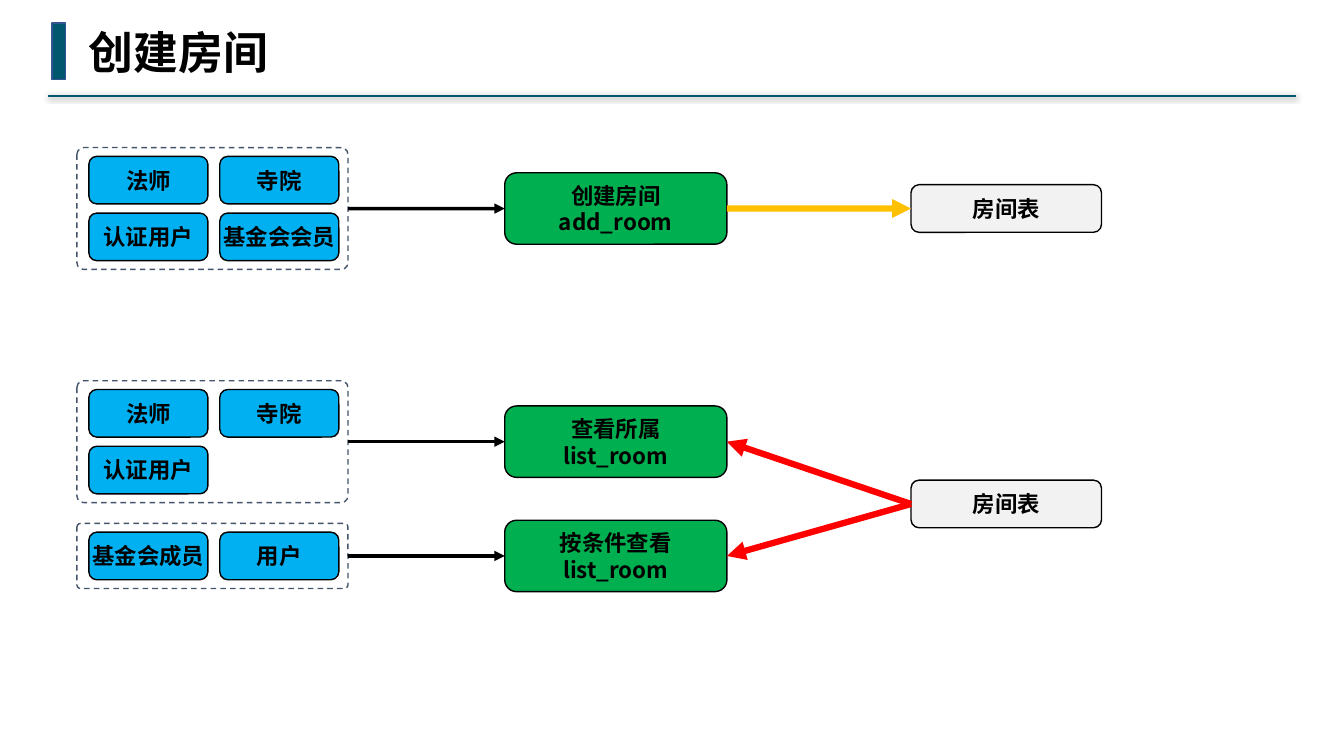
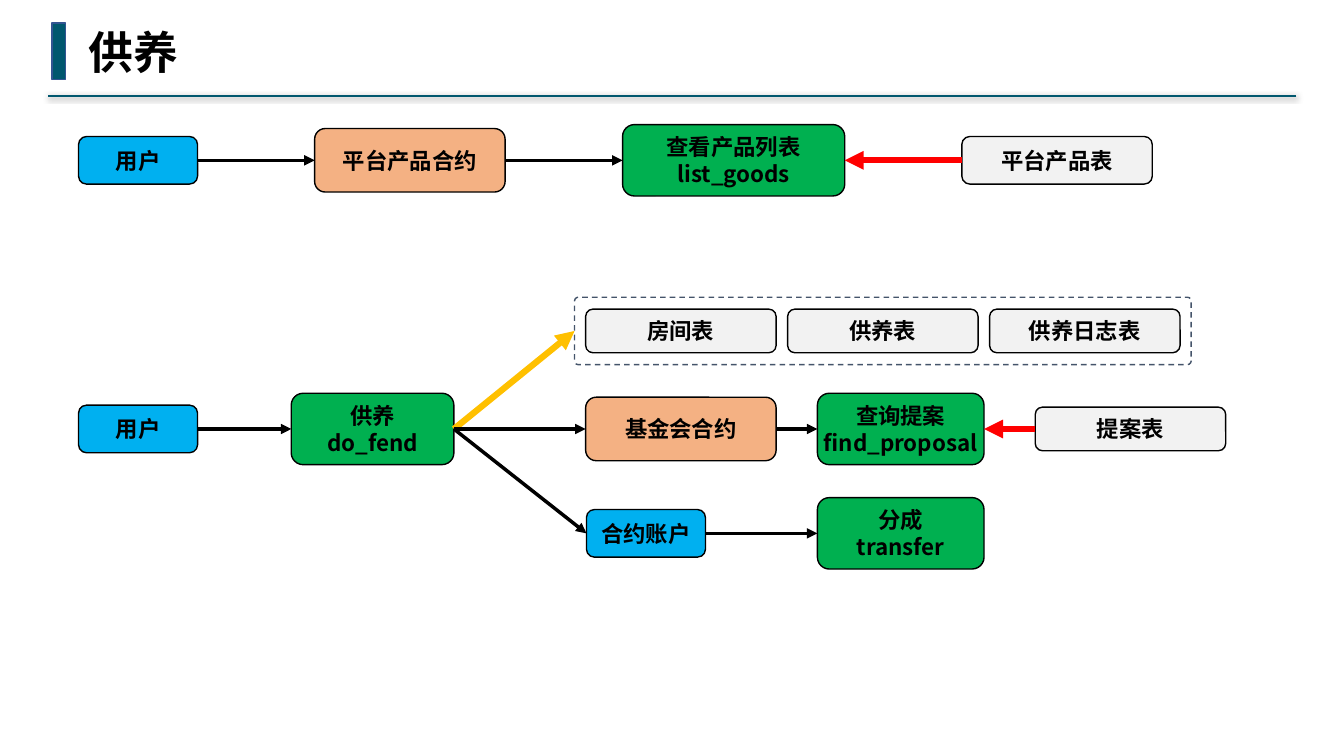
import collections

import lxml.etree
import pptx
import pptx.dml.color
import pptx.enum.dml
import pptx.enum.shapes
import pptx.enum.text
import pptx.oxml.ns
import pptx.util

Cm = pptx.util.Cm
Pt = pptx.util.Pt
RGB = pptx.dml.color.RGBColor
SHAPE = pptx.enum.shapes.MSO_SHAPE
ALIGN = pptx.enum.text.PP_ALIGN
MIDDLE = pptx.enum.text.MSO_ANCHOR.MIDDLE

TEAL = RGB(0x00, 0x57, 0x6E)
NAVY = RGB(0x32, 0x54, 0x91)
SLATE = RGB(0x44, 0x54, 0x6A)
BLACK = RGB(0x00, 0x00, 0x00)
BLUE = RGB(0x00, 0xB0, 0xF0)
GREEN = RGB(0x00, 0xB0, 0x50)
PEACH = RGB(0xF4, 0xB1, 0x83)
GREY = RGB(0xF2, 0xF2, 0xF2)
RED = RGB(0xFF, 0x00, 0x00)
GOLD = RGB(0xFF, 0xC0, 0x00)

SANS = "Noto Sans CJK SC"
MONO = "Noto Sans Mono"

Box = collections.namedtuple("Box", "x y w h")
Kind = collections.namedtuple("Kind", "fill w h")
Flow = collections.namedtuple("Flow", "color width")

USER = Kind(BLUE, 3, 1.2)
CALL = Kind(GREEN, 5.6, 1.8)
DEAL = Kind(PEACH, 4.8, 1.6)
TABLE = Kind(GREY, 4.8, 1.2)
SLIM = TABLE._replace(h=1.1)

STEP = Flow(BLACK, 2.5)
READ = Flow(RED, 4.5)
WRITE = Flow(GOLD, 4.5)


def add_tag(parent, name, **attrs):
    return lxml.etree.SubElement(parent, pptx.oxml.ns.qn(name), attrs)


def style_text(frame, size, latin, align):
    frame.word_wrap = False
    frame.vertical_anchor = MIDDLE
    for para in frame.paragraphs:
        para.alignment = align
        for run in para.runs:
            run.font.size = Pt(size)
            run.font.bold = True
            run.font.color.rgb = BLACK
            run.font.name = latin
            add_tag(run.font._element, "a:ea", typeface=SANS)


def add_shape(shapes, preset, box, fill, edge):
    shape = shapes.add_shape(preset, *map(Cm, box))
    shape.shadow.inherit = False
    if fill is None:
        shape.fill.background()
    else:
        shape.fill.solid()
        shape.fill.fore_color.rgb = fill
    shape.line.color.rgb = edge
    shape.line.width = Pt(1)
    return shape


def add_line(slide, start, end, color, width):
    line = slide.shapes.add_connector(
        pptx.enum.shapes.MSO_CONNECTOR.STRAIGHT, *map(Cm, start + end))
    line.line.color.rgb = color
    line.line.width = Pt(width)
    return line, add_tag(line._element.spPr, "a:effectLst")


def add_node(shapes, kind, text, x, mid):
    box = Box(x, mid - kind.h / 2, kind.w, kind.h)
    node = add_shape(shapes, SHAPE.ROUNDED_RECTANGLE, box, kind.fill, BLACK)
    frame = node.text_frame
    frame.margin_left = frame.margin_right = Cm(0.1)
    frame.margin_top = frame.margin_bottom = Cm(0.1)
    frame.text = text
    style_text(frame, 16, SANS, ALIGN.CENTER)
    return node


def add_group(slide, box, kind, names, cols, pad, gap):
    shapes = slide.shapes.add_group_shape().shapes
    frame = add_shape(shapes, SHAPE.ROUNDED_RECTANGLE, box, None, SLATE)
    frame.adjustments[0] = 0.055
    frame.line.dash_style = pptx.enum.dml.MSO_LINE.DASH
    for index, name in enumerate(names):
        row, col = divmod(index, cols)
        add_node(shapes, kind, name,
                 box.x + pad[0] + col * (kind.w + gap[0]),
                 box.y + pad[1] + kind.h / 2 + row * (kind.h + gap[1]))
    return frame


def add_users(slide, x, mid, names, rows):
    pad, gap = (0.3, 0.22), (0.3, 0.23)
    high = rows * USER.h + (rows - 1) * gap[1] + 2 * pad[1]
    box = Box(x, mid - high / 2, 6.83, high)
    return add_group(slide, box, USER, names, 2, pad, gap)


def link(slide, start, end, flow):
    line, _ = add_line(slide, (0, 0), (1, 1), *flow)
    ends = (3, 1) if start.left < end.left else (1, 3)
    line.begin_connect(start, ends[0])
    line.end_connect(end, ends[1])
    add_tag(line.line._get_or_add_ln(), "a:tailEnd", type="triangle")


def add_head(slide, text, box):
    _, glow = add_line(slide, (box.x + box.w, box.y + box.h),
                       (box.x, box.y + box.h), TEAL, 1.5)
    shade = add_tag(glow, "a:outerShdw", blurRad=str(Pt(4)), dist=str(Pt(1)),
                    dir="5400000", algn="t", rotWithShape="0")
    color = add_tag(shade, "a:srgbClr", val=str(BLACK))
    add_tag(color, "a:alpha", val="40000")
    add_shape(slide.shapes, SHAPE.RECTANGLE,
              Box(box.x + 0.11, box.y + 0.1, 0.34, 1.42), TEAL, NAVY)
    title = slide.shapes.title
    title.left, title.top = Cm(box.x + 0.78), Cm(box.y)
    title.width, title.height = Cm(0.5 + 1.14 * len(text)), Cm(1.62)
    title.text_frame.text = text
    title.text_frame.auto_size = pptx.enum.text.MSO_AUTO_SIZE.NONE
    style_text(title.text_frame, 32, MONO, ALIGN.LEFT)


def draw_create(slide, box):
    mid = box.y + box.h / 2
    users = add_users(slide, box.x, mid,
                      ("法师", "寺院", "认证用户", "基金会会员"), 2)
    call = add_node(slide.shapes, CALL, "创建房间\nadd_room", box.x + 10.78, mid)
    table = add_node(slide.shapes, TABLE, "房间表",
                     box.x + box.w - TABLE.w, mid)
    link(slide, users, call, STEP)
    link(slide, call, table, WRITE)


def draw_view(slide, box):
    table = add_node(slide.shapes, TABLE, "房间表",
                     box.x + box.w - TABLE.w, box.y + 3.1)
    lanes = (
        (1.53, ("法师", "寺院", "认证用户"), 2, "查看所属\nlist_room"),
        (4.41, ("基金会成员", "用户"), 1, "按条件查看\nlist_room"),
    )
    for drop, names, rows, text in lanes:
        mid = box.y + drop
        users = add_users(slide, box.x, mid, names, rows)
        call = add_node(slide.shapes, CALL, text, box.x + 10.78, mid)
        link(slide, users, call, STEP)
        link(slide, table, call, READ)


def draw_goods(slide, box):
    mid = box.y + box.h / 2
    parts = (
        (USER, "用户", 0),
        (DEAL, "平台产品合约", 5.95),
        (CALL, "查看产品列表\nlist_goods", 13.71),
        (TABLE, "平台产品表", box.w - TABLE.w),
    )
    user, deal, call, table = [
        add_node(slide.shapes, kind, text, box.x + x, mid)
        for kind, text, x in parts]
    link(slide, user, deal, STEP)
    link(slide, deal, call, STEP)
    link(slide, table, call, READ)


def draw_offer(slide, box):
    mid, low = box.y + 3.32, box.y + 5.95
    small = CALL._replace(w=4.2)
    parts = (
        (USER, "用户", 0, mid),
        (CALL._replace(w=4.1), "供养\ndo_fend", 5.36, mid),
        (DEAL, "基金会合约", 12.78, mid),
        (small, "查询提案\nfind_proposal", 18.62, mid),
        (SLIM, "提案表", box.w - SLIM.w, mid),
        (USER, "合约账户", 12.8, low),
        (small, "分成\ntransfer", 18.62, low),
    )
    user, fend, deal, find, table, fund, share = [
        add_node(slide.shapes, kind, text, box.x + x, y)
        for kind, text, x, y in parts]
    logs = add_group(slide, Box(box.x + 12.5, box.y, 15.54, 1.7), SLIM,
                     ("房间表", "供养表", "供养日志表"), 3,
                     (0.28, 0.3), (0.29, 0))
    link(slide, fend, logs, WRITE)
    link(slide, table, find, READ)
    for start, end in ((user, fend), (fend, deal), (deal, find),
                       (fend, fund), (fund, share)):
        link(slide, start, end, STEP)


def main():
    deck = pptx.Presentation()
    deck.slide_width, deck.slide_height = Cm(33.87), Cm(19.05)
    pages = (
        ("创建房间", ((draw_create, Box(1.94, 3.72, 25.82, 3.07)),
                  (draw_view, Box(1.94, 9.6, 25.82, 5.4)))),
        ("供养", ((draw_goods, Box(1.98, 3.14, 27.06, 1.8)),
                (draw_offer, Box(1.98, 7.49, 28.91, 6.85)))),
    )
    for text, parts in pages:
        slide = deck.slides.add_slide(deck.slide_layouts[5])
        add_head(slide, text, Box(1.2, 0.48, 31.47, 1.93))
        for draw, box in parts:
            draw(slide, box)
    deck.save("out.pptx")


if __name__ == "__main__":
    main()
